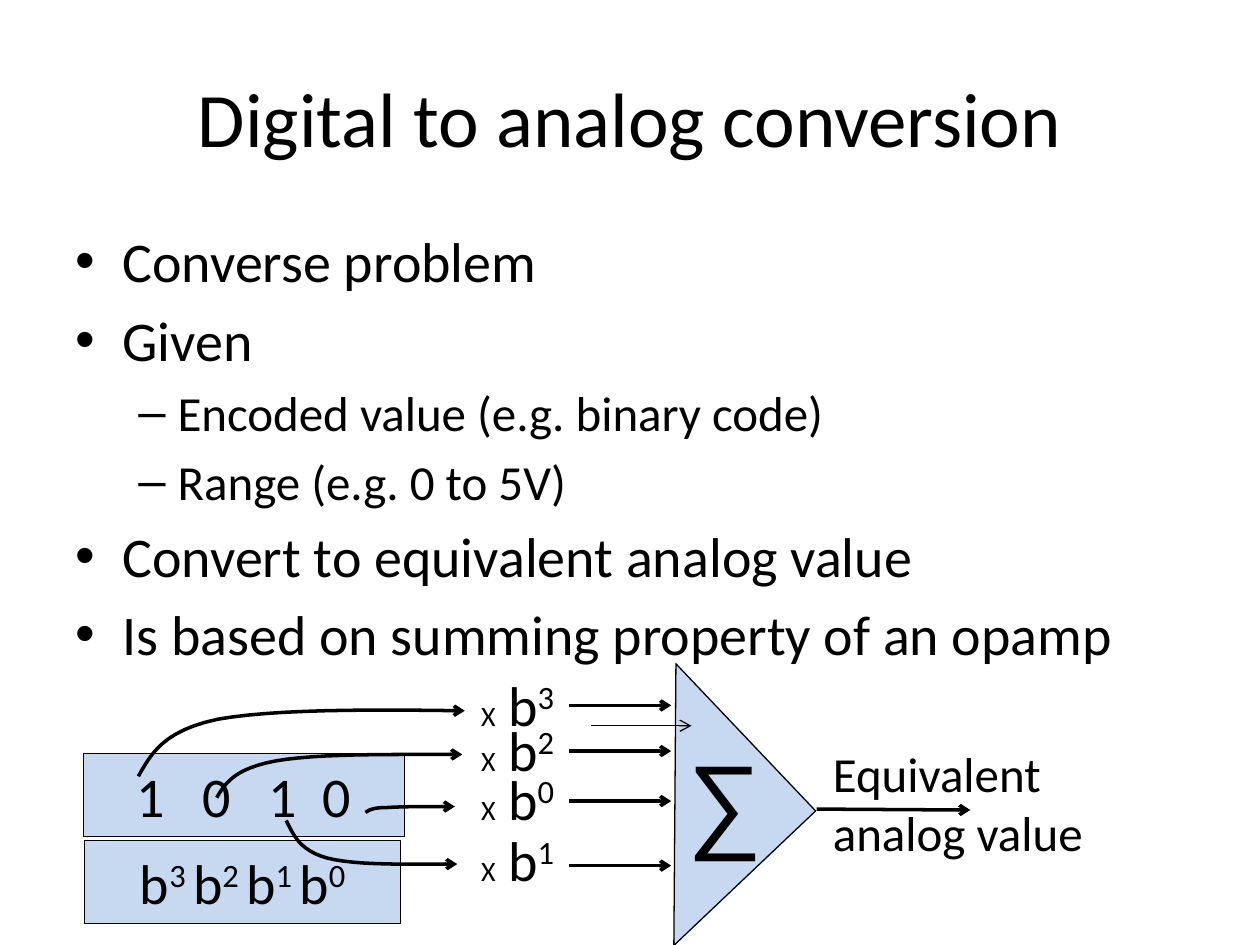
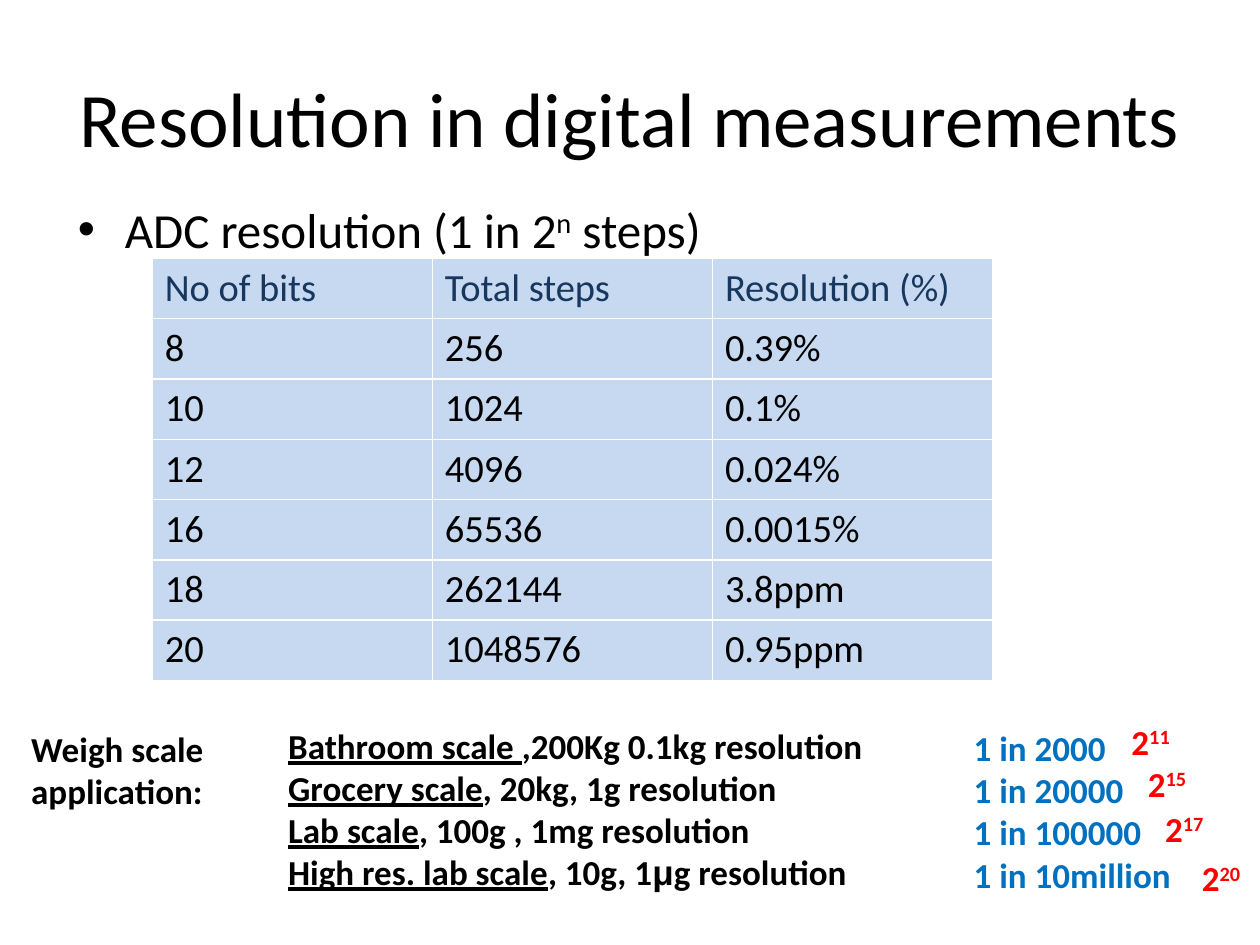
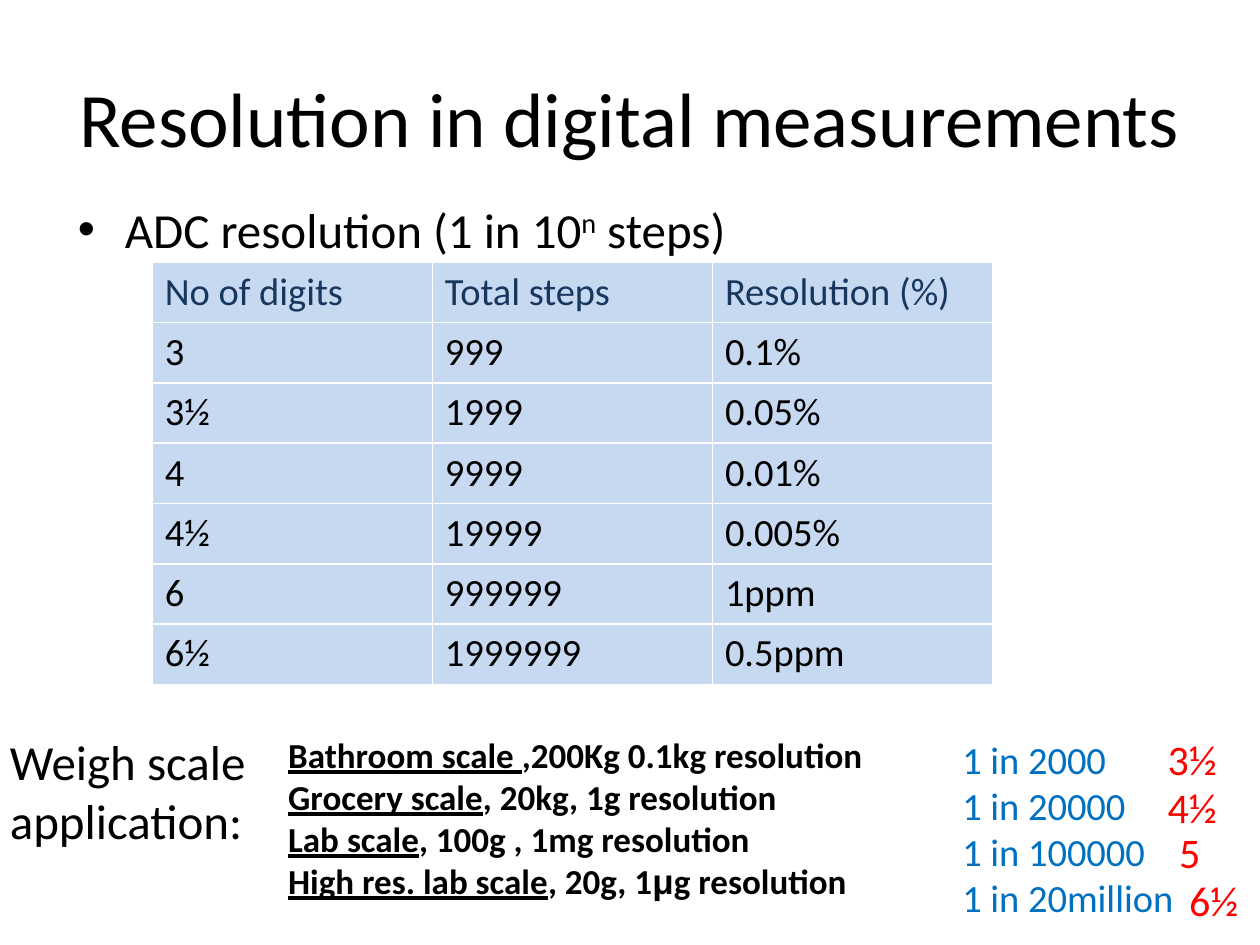
from pptx import Presentation
from pptx.dml.color import RGBColor
from pptx.enum.shapes import MSO_CONNECTOR, MSO_SHAPE
from pptx.enum.text import MSO_ANCHOR, MSO_AUTO_SIZE, PP_ALIGN
from pptx.oxml.ns import qn
from pptx.util import Cm, Pt
from lxml.etree import SubElement

RECT = MSO_SHAPE.RECTANGLE
WEDGE = MSO_SHAPE.RIGHT_TRIANGLE
LINE = MSO_CONNECTOR.STRAIGHT
TOP, MIDDLE = MSO_ANCHOR.TOP, MSO_ANCHOR.MIDDLE
LEFT, CENTER = PP_ALIGN.LEFT, PP_ALIGN.CENTER
GROW = MSO_AUTO_SIZE.SHAPE_TO_FIT_TEXT

BLACK, WHITE, PALE = "000000", "FFFFFF", "C6D9F1"
NAVY, BLUE, RED = "17375E", "0070C0", "FF0000"
rgb = RGBColor.from_string

# Bullet levels: sign, left margin, hanging indent
LEVELS = [("•", 0.95, -0.95), ("–", 2.06, -0.79)]


def write(frame, rows, size, color=BLACK, bold=False, align=LEFT):
    """Fill a frame; a row is a list of (text, mark) runs.

    A mark is "" (plain), "sup", "line", a font name or a size in points.
    """
    for num, row in enumerate(rows):
        para = frame.paragraphs[0] if num == 0 else frame.add_paragraph()
        para.alignment = align
        for words, mark in row:
            run = para.add_run()
            run.text = words
            font = run.font
            font.name = mark if mark == "Arial" else "Calibri"
            font.size = Pt(mark if isinstance(mark, int) else size)
            font.bold = bold
            font.color.rgb = rgb(color)
            if mark == "line":
                font.underline = True
            if mark == "sup":
                run._r.get_or_add_rPr().set("baseline", "30000")


def put(slide, spot, rows, size, color=BLACK, bold=False, align=LEFT,
        anchor=TOP, wrap=True, levels=()):
    """Add a text box, with bullets when levels are given."""
    frame = slide.shapes.add_textbox(*map(Cm, spot)).text_frame
    frame.word_wrap = wrap
    frame.vertical_anchor = anchor
    if not wrap:
        frame.auto_size = GROW
    write(frame, rows, size, color, bold, align)
    for para, level in zip(frame.paragraphs, levels):
        sign, left, hang = LEVELS[level]
        para.space_before = Pt(para.runs[0].font.size.pt * 0.2)
        props = para._p.get_or_add_pPr()
        props.set("marL", str(Cm(left)))
        props.set("indent", str(Cm(hang)))
        SubElement(props, qn("a:buFont")).set("typeface", "Arial")
        SubElement(props, qn("a:buChar")).set("char", sign)


deck = Presentation()
deck.slide_width, deck.slide_height = Cm(25.4), Cm(19.05)

# Slides and their titles
TITLES = ["Digital to analog conversion"] + ["Resolution in digital measurements"] * 2
slides = []
for title in TITLES:
    slide = deck.slides.add_slide(deck.slide_layouts[6])
    put(slide, (1.27, 0.76, 22.86, 3.18), [[(title, "")]], 44,
        align=CENTER, anchor=MIDDLE)
    slides.append(slide)

# Slide 1: bullets
first = slides[0]
points = [
    (0, "Converse problem"),
    (0, "Given"),
    (1, "Encoded value (e.g. binary code)"),
    (1, "Range (e.g. 0 to 5V)"),
    (0, "Convert to equivalent analog value"),
    (0, "Is based on summing property of an opamp"),
]
put(first, (1.27, 4.45, 22.86, 12.57),
    [[(words, 28 if level else 32)] for level, words in points], 32,
    levels=[level for level, words in points])

# Bit register, weight register and summing amplifier
parts = []
for kind, spot in [(RECT, (1.68, 15.19, 6.48, 1.68)),
                   (RECT, (1.7, 16.94, 6.38, 1.68)),
                   (WEDGE, (11.56, 14.25, 4.09, 3.94))]:
    part = first.shapes.add_shape(kind, *map(Cm, spot))
    part.shadow.inherit = False
    part.fill.solid()
    part.fill.fore_color.rgb = rgb(PALE)
    part.line.color.rgb = rgb(BLACK)
    part.line.width = Pt(0.75)
    parts.append(part)
bits, weights, amp = parts
amp.rotation = 226.5

bits.text_frame.margin_left = Cm(1.07)
write(bits.text_frame, [[("1\t0\t1\t0", "")]], 32)
tabs = SubElement(bits.text_frame.paragraphs[0]._p.get_or_add_pPr(), qn("a:tabLst"))
for stop in (1.34, 2.67, 3.76):
    tab = SubElement(tabs, qn("a:tab"))
    tab.set("pos", str(Cm(stop)))
    tab.set("algn", "l")

code = []
for power in ("3 ", "2 ", "1 ", "0"):
    code += [("b", ""), (power, "sup")]
write(weights.text_frame, [code], 32, align=CENTER)

# Products and labels
for power, top in [("3", 13.39), ("2", 14.3), ("1", 16.51), ("0", 15.29)]:
    put(first, (9.45, top, 2.69, 1.63),
        [[("X", 16), (" b", ""), (power, "sup")]], 32)
put(first, (13.61, 14.68, 3.48, 2.82), [[("∑", "Arial")]], 60)
put(first, (16.54, 14.86, 6.4, 2.64), [[("Equivalent analog value", "")]], 28)

# Curves from each bit: a start, then two cubic pieces
CURVES = [
    [(2.79, 15.65), (3.05, 15.19), (3.3, 14.73), (4.39, 14.5),
     (5.49, 14.3), (7.42, 14.3), (9.37, 14.33)],
    [(4.37, 16.08), (4.55, 15.77), (4.75, 15.49), (5.56, 15.34),
     (6.4, 15.19), (7.85, 15.21), (9.32, 15.21)],
    [(5.77, 16.54), (5.92, 16.84), (6.05, 17.15), (6.6, 17.3),
     (7.19, 17.45), (8.2, 17.42), (9.22, 17.42)],
    [(7.37, 16.38), (7.44, 16.33), (7.52, 16.28), (7.8, 16.28),
     (8.1, 16.26), (8.64, 16.26), (9.17, 16.26)],
]
STEPS = 12
wires = []
for curve in CURVES:
    trace = []
    for start in (0, 3):
        piece = curve[start:start + 4]
        for step in range(1, STEPS + 1):
            t = step / STEPS
            pull = ((1 - t) ** 3, 3 * t * (1 - t) ** 2, 3 * t * t * (1 - t), t ** 3)
            trace.append(tuple(
                Cm(sum(p * spot[axis] for p, spot in zip(pull, piece)))
                for axis in (0, 1)))
    pen = first.shapes.build_freeform(*map(Cm, curve[0]))
    pen.add_line_segments(trace, close=False)
    wire = pen.convert_to_shape()
    wire.fill.background()
    wires.append((wire, 2))

# Straight arrows into and out of the amplifier
runs = [(11.47, y, 13.53, y, 2) for y in (14.22, 15.14, 16.15, 17.45)]
runs += [(16.46, 16.31, 19.56, 16.33, 2), (11.91, 14.63, 13.94, 14.63, 0.75)]
for *ends, width in runs:
    wires.append((first.shapes.add_connector(LINE, *map(Cm, ends)), width))

for wire, width in wires:
    wire.line.color.rgb = rgb(BLACK)
    wire.line.width = Pt(width)
    SubElement(wire.get_or_add_ln(), qn("a:tailEnd")).set("type", "arrow")
    SubElement(wire.element.spPr, qn("a:effectLst"))

# Slides 2 and 3: resolution by bits and by digits
PAGES = [
    dict(
        base="2", unit="bits", top=5.21, mass="10g",
        cells=[("8", "256", "0.39%"), ("10", "1024", "0.1%"),
               ("12", "4096", "0.024%"), ("16", "65536", "0.0015%"),
               ("18", "262144", "3.8ppm"), ("20", "1048576", "0.95ppm")],
        label=((0.38, 14.55, 4.7, 1.96), 20, True),
        scales=(5.56, 14.48, 14.55, 3.68),
        ratio=((19.38, 14.53, 5.61, 3.68), 20, True), most="1 in 10million",
        size=20, bold=True,
        needs=[(22.56, 14.4, 1.4, [("2", ""), ("11", "sup")]),
               (22.89, 15.24, 1.45, [("2", ""), ("15", "sup")]),
               (23.24, 16.15, 1.45, [("2", ""), ("17", "sup")]),
               (23.98, 17.15, 1.42, [("2", ""), ("20", "sup")])]),
    dict(
        base="10", unit="digits", top=5.29, mass="20g",
        cells=[("3", "999", "0.1%"), ("3½", "1999", "0.05%"),
               ("4", "9999", "0.01%"), ("4½", "19999", "0.005%"),
               ("6", "999999", "1ppm"), ("6½", "1999999", "0.5ppm")],
        label=((-0.05, 14.63, 5.89, 2.64), 28, False),
        scales=(5.56, 14.66, 14.33, 3.68),
        ratio=((19.15, 14.71, 5.84, 4.01), 22, False), most="1 in 20million",
        size=24, bold=False,
        needs=[(23.29, 14.66, 1.52, [("3½", "")]),
               (23.29, 15.62, 1.52, [("4½", "")]),
               (23.52, 16.54, 0.94, [("5", "")]),
               (23.72, 17.5, 1.52, [("6½", "")])]),
]
for slide, page in zip(slides[1:], PAGES):
    put(slide, (1.32, 3.89, 20.75, 10.52),
        [[(f"ADC resolution (1 in {page['base']}", ""), ("n", "sup"), (" steps)", "")]],
        28, levels=[0])

    # Table
    rows = [(f"No of {page['unit']}", "Total steps", "Resolution (%)")] + page["cells"]
    grid = slide.shapes.add_table(
        len(rows), 3, Cm(3.07), Cm(page["top"]), Cm(16.94), Cm(8.51)).table
    for r, row in enumerate(rows):
        for c, words in enumerate(row):
            cell = grid.cell(r, c)
            cell.fill.solid()
            cell.fill.fore_color.rgb = rgb(PALE)
            write(cell.text_frame, [[(words, "")]], 22, BLACK if r else NAVY)

    # Weigh scale example
    spot, size, bold = page["label"]
    put(slide, spot, [[("Weigh scale", "")], [("application:", "")]], size, bold=bold)
    put(slide, page["scales"], [
        [("Bathroom scale ", "line"), (",200Kg 0.1kg resolution", "")],
        [("Grocery scale", "line"), (", 20kg, 1g resolution", "")],
        [("Lab scale", "line"), (", 100g , 1mg resolution", "")],
        [("High res. lab scale", "line"), (f", {page['mass']}, 1", ""),
         ("μ", "Arial"), ("g resolution", "")],
    ], 20, bold=True)
    spot, size, bold = page["ratio"]
    steps = ["1 in 2000", "1 in 20000", "1 in 100000", page["most"]]
    put(slide, spot, [[(step, "")] for step in steps], size, BLUE, bold)
    for x, y, wide, need in page["needs"]:
        put(slide, (x, y, wide, 1.2), [need], page["size"], RED, page["bold"], wrap=False)

deck.save("out.pptx")
